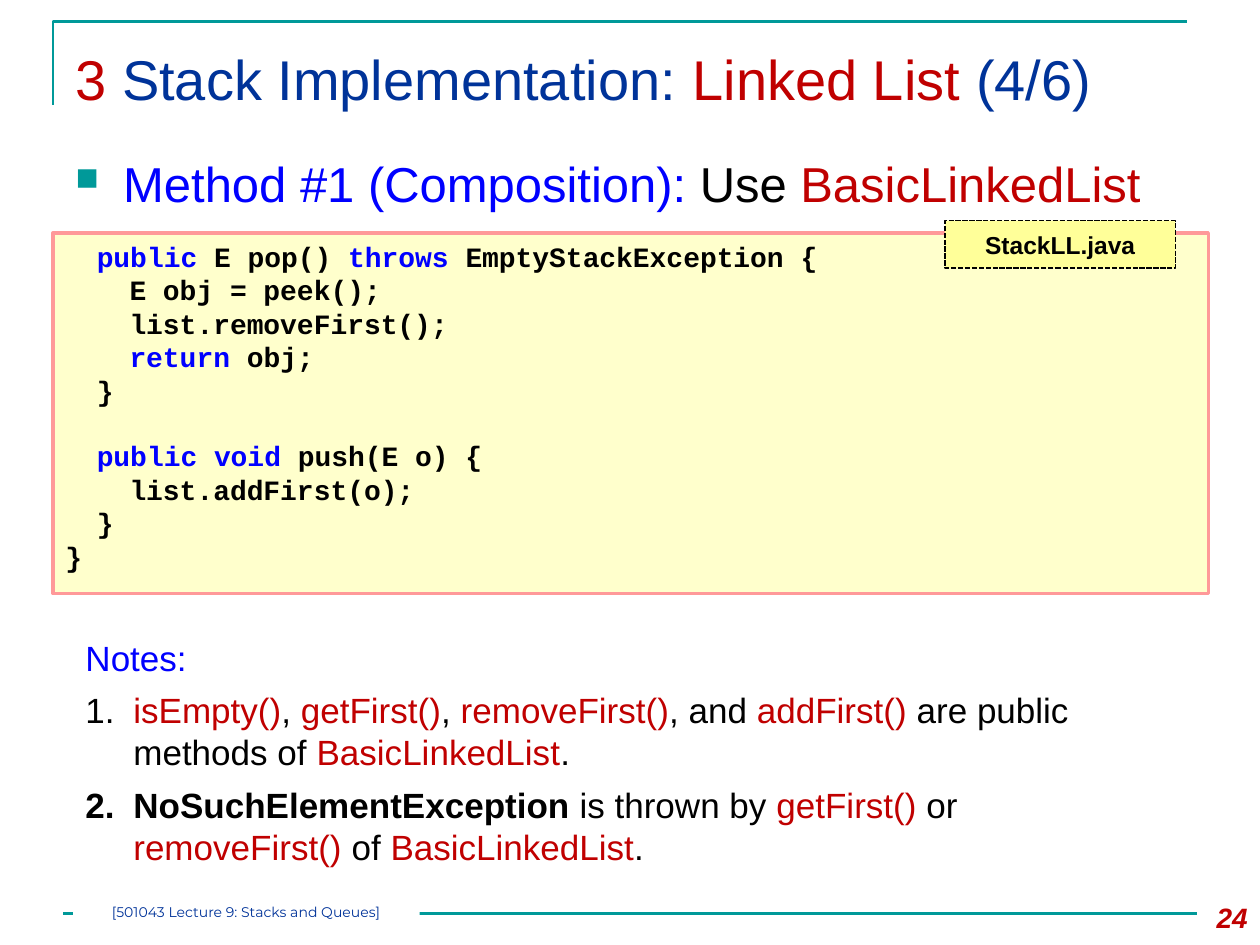
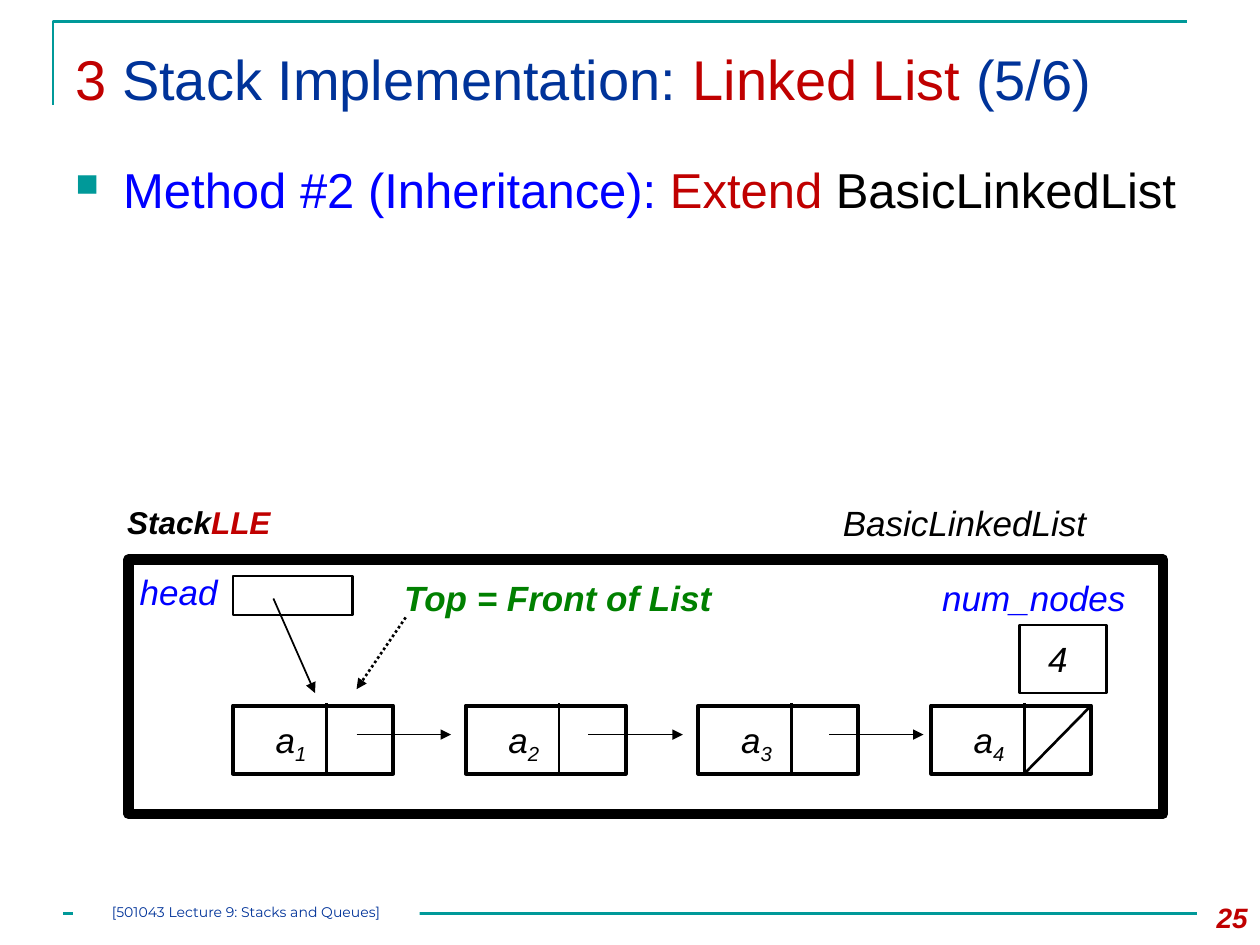
import dataclasses

import lxml.etree
import pptx
import pptx.dml.color
import pptx.enum.dml
import pptx.enum.shapes
import pptx.enum.text
import pptx.oxml.ns
import pptx.util

Inches = pptx.util.Inches
Pt = pptx.util.Pt
ALIGN = pptx.enum.text.PP_ALIGN
ANCHOR = pptx.enum.text.MSO_ANCHOR
DASH = pptx.enum.dml.MSO_LINE
INSETS = (0.1, 0.05, 0.1, 0.05)


@dataclasses.dataclass(frozen=True)
class Theme:
    font: str = "Arial"
    code_font: str = "Courier New"
    footer_font: str = "Montserrat"
    teal: str = "009999"
    navy: str = "003399"
    blue: str = "0000FF"
    red: str = "C00000"
    green: str = "008000"
    black: str = "000000"
    white: str = "FFFFFF"
    code_fill: str = "FFFFCC"
    code_border: str = "FF9999"
    tag_fill: str = "FFFF99"
    title_size: int = 32
    heading_size: int = 28
    text_size: int = 20
    label_size: int = 18
    code_size: int = 16
    page_size: int = 16
    tag_size: int = 14
    footer_size: int = 8


THEME = Theme()


def rgb(value):
    return pptx.dml.color.RGBColor.from_string(value)


def add_xml(parent, tag, **attributes):
    element = lxml.etree.SubElement(parent, pptx.oxml.ns.qn(tag))
    for name, value in attributes.items():
        element.set(name, str(value))
    return element


def add_runs(paragraph, runs, size, font=THEME.font, bold=False, italic=False):
    """Each run is (text, colour) or (text, colour, bold)."""
    for text, color, *weight in runs:
        run = paragraph.add_run()
        run.text = text
        run.font.name = font
        run.font.size = Pt(size)
        run.font.bold = weight[0] if weight else bold
        run.font.italic = italic
        run.font.color.rgb = rgb(color)


def prepare_frame(shape, insets=INSETS, anchor=ANCHOR.TOP, wrap=True):
    frame = shape.text_frame
    frame.word_wrap = wrap
    frame.vertical_anchor = anchor
    (frame.margin_left, frame.margin_top,
     frame.margin_right, frame.margin_bottom) = map(Inches, insets)
    return frame


def add_text(slide, box, runs, size, align=ALIGN.LEFT, wrap=True, insets=INSETS, **style):
    shape = slide.shapes.add_textbox(*map(Inches, box))
    paragraph = prepare_frame(shape, insets, wrap=wrap).paragraphs[0]
    paragraph.alignment = align
    add_runs(paragraph, runs, size, **style)
    return paragraph


def style_line(line, color, width, dash=None):
    line.color.rgb = rgb(color)
    line.width = Pt(width)
    if dash:
        line.dash_style = dash


def add_box(slide, box, fill=None, line=None, width=1, dash=None):
    shape = slide.shapes.add_shape(
        pptx.enum.shapes.MSO_SHAPE.RECTANGLE, *map(Inches, box))
    shape.shadow.inherit = False
    if fill:
        shape.fill.solid()
        shape.fill.fore_color.rgb = rgb(fill)
    else:
        shape.fill.background()
    if line:
        style_line(shape.line, line, width, dash)
    else:
        shape.line.fill.background()
    return shape


def add_label_box(slide, box, runs, size, insets=INSETS, anchor=ANCHOR.TOP,
                  align=ALIGN.CENTER, font=THEME.font, bold=False, italic=False, **look):
    shape = add_box(slide, box, **look)
    paragraph = prepare_frame(shape, insets, anchor).paragraphs[0]
    paragraph.alignment = align
    add_runs(paragraph, runs, size, font, bold, italic)


def add_line(slide, start, end, width, color=THEME.black, dash=None, arrow=False):
    connector = slide.shapes.add_connector(
        pptx.enum.shapes.MSO_CONNECTOR.STRAIGHT, *map(Inches, start + end))
    style_line(connector.line, color, width, dash)
    if arrow:
        add_xml(connector.line._get_or_add_ln(), "a:tailEnd", type="triangle")
    add_xml(connector._element.spPr, "a:effectLst")


def hang(paragraph, indent=0.38):
    properties = paragraph._p.get_or_add_pPr()
    properties.set("marL", str(Inches(indent)))
    properties.set("indent", str(-Inches(indent)))
    return properties


def add_bullet_color(properties, color):
    add_xml(add_xml(properties, "a:buClr"), "a:srgbClr", val=color)


def add_lecture_slide(presentation, part, page):
    """Blank slide with the lecture's corner rule, bottom rule, title and page number."""
    slide = presentation.slides.add_slide(presentation.slide_layouts[6])
    builder = slide.shapes.build_freeform(Inches(0.42), Inches(0.83))
    builder.add_line_segments(
        [(Inches(0.42), Inches(0.17)), (Inches(9.42), Inches(0.17))], close=False)
    corner = builder.convert_to_shape()
    corner.shadow.inherit = False
    corner.fill.background()
    style_line(corner.line, THEME.teal, 1.5)
    add_line(slide, (0.5, 7.25), (9.5, 7.25), 1.5, THEME.teal)
    title = [("3 ", THEME.red), ("Stack Implementation: ", THEME.navy),
             ("Linked List ", THEME.red), (f"({part}/6)", THEME.navy)]
    add_text(slide, (0.5, 0.25, 9, 0.86), title, THEME.title_size,
             insets=(0.1, 0.1, 0.1, 0.05))
    add_text(slide, (9.33, 7.1, 0.67, 0.4), [(str(page), THEME.red)],
             THEME.page_size, ALIGN.RIGHT, bold=True, italic=True)
    add_label_box(slide, (0.58, 7.17, 2.75, 0.17),
                  [("[501043 Lecture 9: Stacks and Queues]", THEME.navy)],
                  THEME.footer_size, insets=(0, 0, 0, 0), font=THEME.footer_font,
                  fill=THEME.white)
    return slide


def add_heading(slide, box, runs, line_spacing=None):
    paragraph = add_text(slide, box, runs, THEME.heading_size)
    paragraph.space_before = Pt(6)
    paragraph.line_spacing = line_spacing
    properties = hang(paragraph)
    add_bullet_color(properties, THEME.teal)
    add_xml(properties, "a:buSzPct", val=65000)
    add_xml(properties, "a:buChar", char="■")


def add_code(slide, box, blocks):
    """Blocks of code lines, one line's height apart; each line is (depth, runs)."""
    shape = add_box(slide, box, THEME.code_fill, THEME.code_border, 2)
    frame = prepare_frame(shape)
    paragraph = frame.paragraphs[0]
    for block_index, block in enumerate(blocks):
        for line_index, (depth, runs) in enumerate(block):
            if block_index or line_index:
                paragraph = frame.add_paragraph()
            paragraph.alignment = ALIGN.LEFT
            if block_index and not line_index:
                paragraph.space_before = Pt(18)
            tabs = add_xml(paragraph._p.get_or_add_pPr(), "a:tabLst")
            for stop in (0.25, 0.51, 0.75, 1):
                add_xml(tabs, "a:tab", pos=Inches(stop), algn="l")
            first_text, first_color = runs[0]
            add_runs(paragraph, [("\t" * depth + first_text, first_color), *runs[1:]],
                     THEME.code_size, THEME.code_font, bold=True)


def add_notes_list(slide, box, heading, notes):
    first = add_text(slide, box, [(heading, THEME.blue)], THEME.text_size)
    first.space_after = Pt(6)
    frame = first._parent
    for runs in notes:
        paragraph = frame.add_paragraph()
        paragraph.space_after = Pt(6)
        properties = hang(paragraph)
        add_bullet_color(properties, THEME.black)
        add_xml(properties, "a:buFont", typeface="+mj-lt")
        add_xml(properties, "a:buAutoNum", type="arabicPeriod")
        add_runs(paragraph, runs, THEME.text_size)


def add_list_node(slide, left, number):
    add_box(slide, (left, 5.6, 1.27, 0.54), line=THEME.black, width=2.25)
    add_line(slide, (left + 0.74, 5.58), (left + 0.74, 6.13), 1.5)
    paragraph = add_text(slide, (left + 0.24, 5.65, 0.46, 0.43),
                         [("a", THEME.black), (str(number), THEME.black)],
                         THEME.text_size, wrap=False, italic=True)
    paragraph.runs[1].font._element.set("baseline", "-25000")


def build_composition_slide(presentation):
    black, blue, red = THEME.black, THEME.blue, THEME.red
    slide = add_lecture_slide(presentation, 4, 24)
    add_heading(slide, (0.5, 1.17, 9, 0.75),
                [("Method #1 (Composition): ", blue), ("Use ", black),
                 ("BasicLinkedList", red)])
    pop_method = [
        (1, [("public ", blue), ("E pop() ", black), ("throws ", blue),
             ("EmptyStackException {", black)]),
        (2, [("E obj = peek();", black)]),
        (2, [("list.removeFirst();", black)]),
        (2, [("return ", blue), ("obj;", black)]),
        (1, [("}", black)]),
    ]
    push_method = [
        (1, [("public void ", blue), ("push(E o) {", black)]),
        (2, [("list.addFirst(o);", black)]),
        (1, [("}", black)]),
        (0, [("}", black)]),
    ]
    add_code(slide, (0.42, 1.85, 9.17, 2.86), [pop_method, push_method])
    add_label_box(slide, (7.5, 1.75, 1.83, 0.38), [("StackLL.java", black)],
                  THEME.tag_size, anchor=ANCHOR.MIDDLE, bold=True,
                  fill=THEME.tag_fill, line=black, dash=DASH.SQUARE_DOT)
    add_notes_list(slide, (0.58, 5, 8.75, 1.95), "Notes:", [
        [("isEmpty()", red), (", ", black), ("getFirst()", red), (", ", black),
         ("removeFirst()", red), (", and ", black), ("addFirst() ", red),
         ("are public methods of ", black), ("BasicLinkedList", red), (".", black)],
        [("NoSuchElementException ", black, True), ("is thrown by ", black),
         ("getFirst() ", red), ("or ", black), ("removeFirst() ", red),
         ("of ", black), ("BasicLinkedList", red), (".", black)],
    ])


def build_inheritance_slide(presentation):
    black, blue, red = THEME.black, THEME.blue, THEME.red
    slide = add_lecture_slide(presentation, 5, 25)
    add_heading(slide, (0.5, 1.17, 9.33, 1.17),
                [("Method #2 (Inheritance): ", blue), ("Extend", red),
                 (" BasicLinkedList", black)], line_spacing=1.1)

    add_box(slide, (1.02, 4.44, 8.21, 2.02), line=black, width=6)
    add_box(slide, (1.85, 4.57, 0.95, 0.31), line=black, width=1.5)
    add_box(slide, (8.09, 4.96, 0.69, 0.54), THEME.white, black, 1.5)
    add_label_box(slide, (8.22, 5.01, 0.39, 0.44), [("4", black)], THEME.text_size,
                  align=ALIGN.LEFT, italic=True, fill=THEME.white)

    add_text(slide, (0.91, 3.94, 1.35, 0.4), [("Stack", black), ("LLE", red)],
             THEME.label_size, wrap=False, bold=True, italic=True)
    for box, text, color, bold in [
        ((1.01, 4.48, 0.82, 0.43), "head", blue, False),
        ((6.59, 3.93, 2.15, 0.44), "BasicLinkedList", black, False),
        ((3.11, 4.53, 2.66, 0.44), "Top = Front of List", THEME.green, True),
        ((7.38, 4.53, 1.8, 0.44), "num_nodes", blue, False),
    ]:
        add_text(slide, box, [(text, color)], THEME.text_size, wrap=False,
                 bold=bold, italic=True)

    first_left, last_left, node_count = 1.85, 7.39, 4
    pitch = (last_left - first_left) / (node_count - 1)
    for index in range(node_count):
        add_list_node(slide, first_left + index * pitch, index + 1)
    add_line(slide, (8.65, 5.61), (8.13, 6.14), 1.5)

    for left in (2.83, 4.67, 6.58):
        add_line(slide, (left, 5.83), (left + 0.75, 5.83), 1, arrow=True)
    add_line(slide, (2.17, 4.75), (2.5, 5.5), 1, arrow=True)
    add_line(slide, (3.22, 4.9), (2.83, 5.47), 1.5, dash=DASH.ROUND_DOT, arrow=True)


def main():
    presentation = pptx.Presentation()
    presentation.slide_width = Inches(10)
    presentation.slide_height = Inches(7.5)
    build_composition_slide(presentation)
    build_inheritance_slide(presentation)
    presentation.save("out.pptx")


if __name__ == "__main__":
    main()
